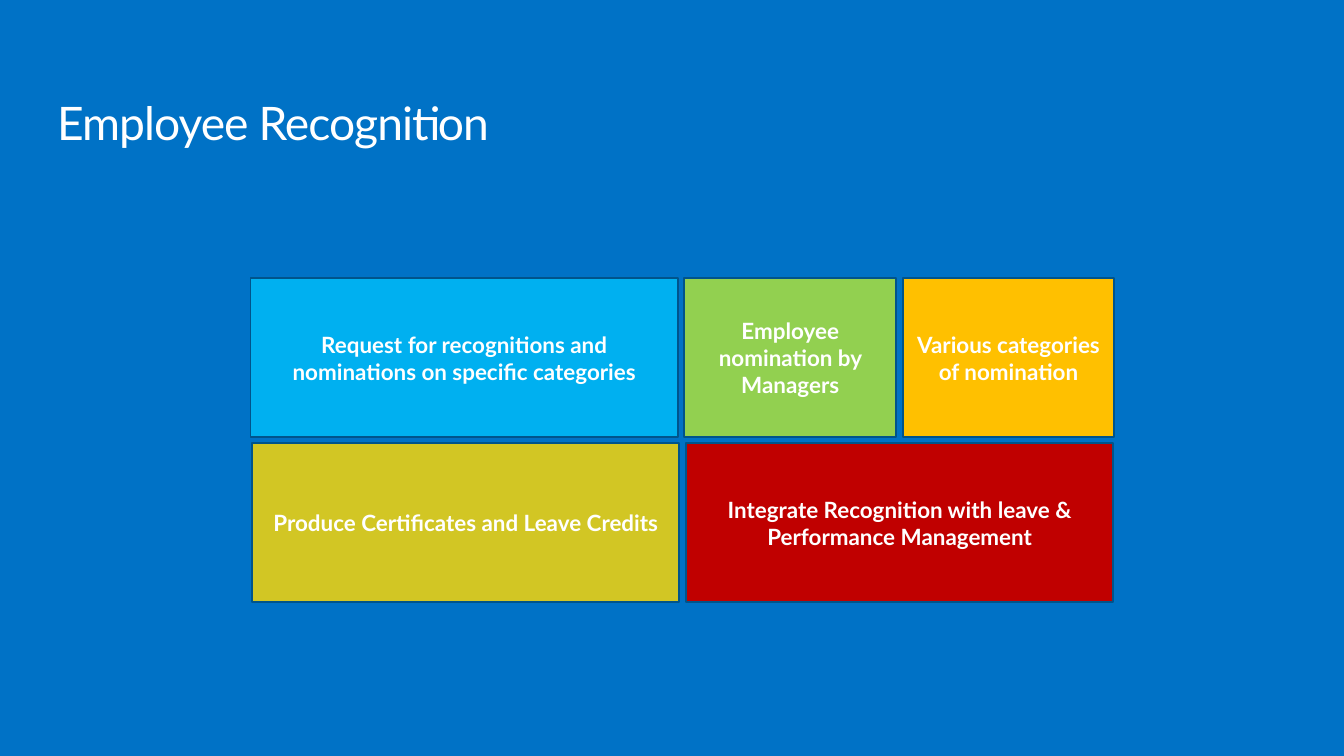
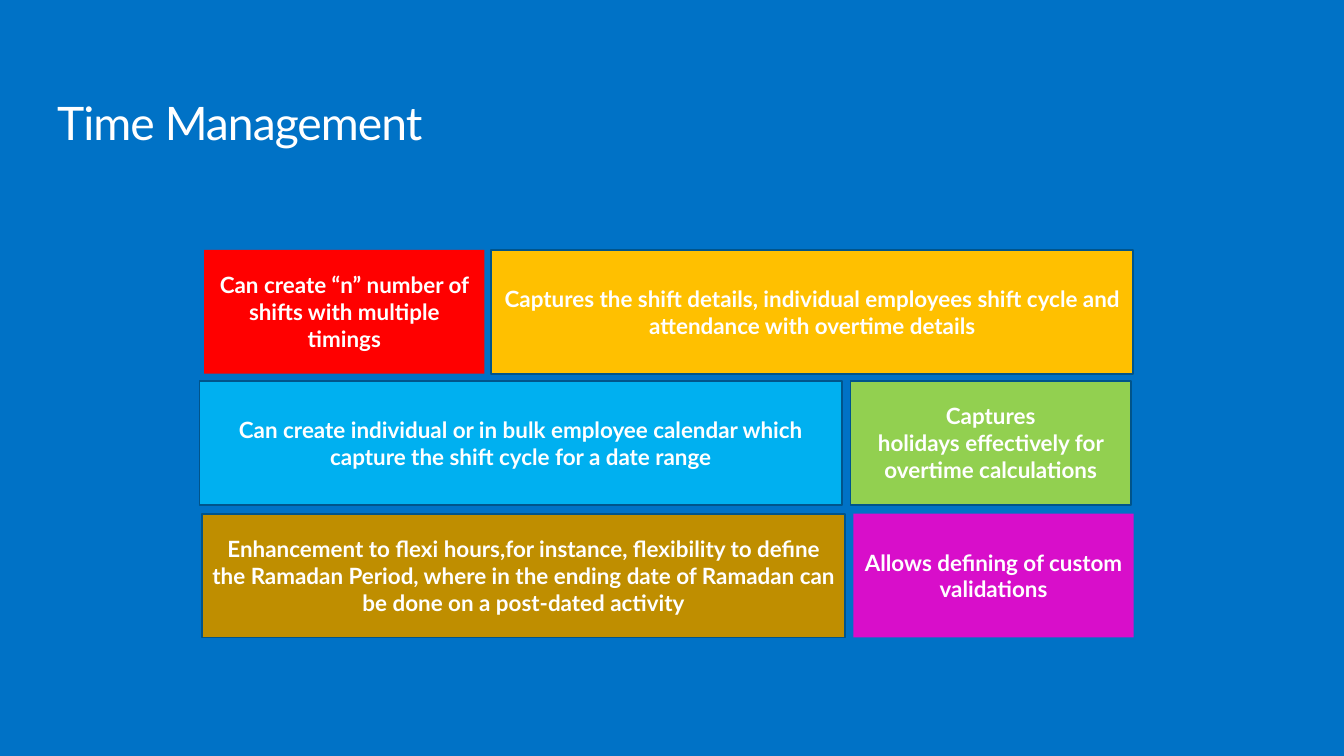
from pptx import Presentation
from pptx.dml.color import RGBColor
from pptx.enum.shapes import MSO_SHAPE
from pptx.enum.text import MSO_ANCHOR, MSO_AUTO_SIZE, PP_ALIGN
from pptx.util import Cm, Pt

# Shared look
BACK, EDGE, WHITE = "0072C6", "00548B", "FFFFFF"
RED, GOLD, SKY, GREEN = "FF0000", "FFC000", "00B0F0", "92D050"
OLIVE, WINE, BROWN, PINK = "D2C624", "C00000", "BF8E00", "D80ECA"
FONT = "Lato"


def rgb(code):
    return RGBColor.from_string(code)


def write(shape, text, size=24, bold=True, align=PP_ALIGN.CENTER,
          anchor=MSO_ANCHOR.MIDDLE, spacing=None, track=None):
    frame = shape.text_frame
    frame.text = text
    frame.word_wrap = True
    frame.vertical_anchor = anchor
    for para in frame.paragraphs:
        para.alignment = align
        para.line_spacing = spacing
        for run in para.runs:
            font = run.font
            font.name, font.size, font.bold = FONT, Pt(size), bold
            font.color.rgb = rgb(WHITE)
            if track is not None:
                run._r.get_or_add_rPr().set("spc", str(track))
    return frame


# Each slide: title, tile height, rows
# Each row: left, top, gap, tiles; each tile: width, fill, has an edge, text
WIDE, SLIM = 16.15, 8
LONG, SHORT = 24.28, 10.59
slides = [
    ("Employee Recognition", 6, [
        (9.47, 10.52, 0.25, [
            (WIDE, SKY, True, "Request for recognitions and nominations on specific categories"),
            (SLIM, GREEN, True, "Employee nomination by Managers"),
            (SLIM, GOLD, True, "Various categories of nomination")]),
        (9.53, 16.76, 0.25, [
            (WIDE, OLIVE, True, "Produce Certificates and Leave Credits"),
            (WIDE, WINE, True, "Integrate Recognition with leave & Performance Management")]),
    ]),
    ("Time Management", 4.68, [
        (7.72, 9.45, 0.25, [
            (SHORT, RED, False, "Can create “n” number of shifts with multiple timings"),
            (LONG, GOLD, True, "Captures the shift details, individual employees shift cycle "
                               "and attendance with overtime details")]),
        (7.54, 14.4, 0.33, [
            (LONG, SKY, True, "Can create individual or in bulk employee calendar which "
                              "capture the shift cycle for a date range"),
            (SHORT, GREEN, True, "Captures\nholidays effectively for overtime calculations")]),
        (7.65, 19.42, 0.33, [
            (LONG, BROWN, True, "Enhancement to flexi hours,for instance, flexibility to define "
                                "the Ramadan Period, where in the ending date of Ramadan can "
                                "be done on a post-dated activity"),
            (SHORT, PINK, False, "Allows defining of custom validations")]),
    ]),
]

# Page and background
prs = Presentation()
prs.slide_width, prs.slide_height = Cm(50.8), Cm(28.58)
fill = prs.slide_master.background.fill
fill.solid()
fill.fore_color.rgb = rgb(BACK)

for name, high, rows in slides:
    slide = prs.slides.add_slide(prs.slide_layouts[5])

    # Title
    title = slide.shapes.title
    title.left, title.top = Cm(2.16), Cm(3.81)
    title.width, title.height = Cm(46.46), Cm(1.9)
    frame = write(title, name, size=49.5, bold=False, align=PP_ALIGN.LEFT,
                  anchor=MSO_ANCHOR.TOP, spacing=0.9, track=-100)
    frame.margin_left = frame.margin_right = 0
    frame.margin_top = frame.margin_bottom = 0
    frame.auto_size = MSO_AUTO_SIZE.SHAPE_TO_FIT_TEXT

    # Tiles, laid out from left to right in each row
    for left, top, gap, tiles in rows:
        for width, color, edge, text in tiles:
            tile = slide.shapes.add_shape(MSO_SHAPE.RECTANGLE, Cm(left), Cm(top),
                                          Cm(width), Cm(high))
            tile.shadow.inherit = False
            tile.fill.solid()
            tile.fill.fore_color.rgb = rgb(color)
            if edge:
                tile.line.color.rgb = rgb(EDGE)
                tile.line.width = Pt(2)
            else:
                tile.line.fill.background()
            write(tile, text)
            left += width + gap

prs.save("out.pptx")
